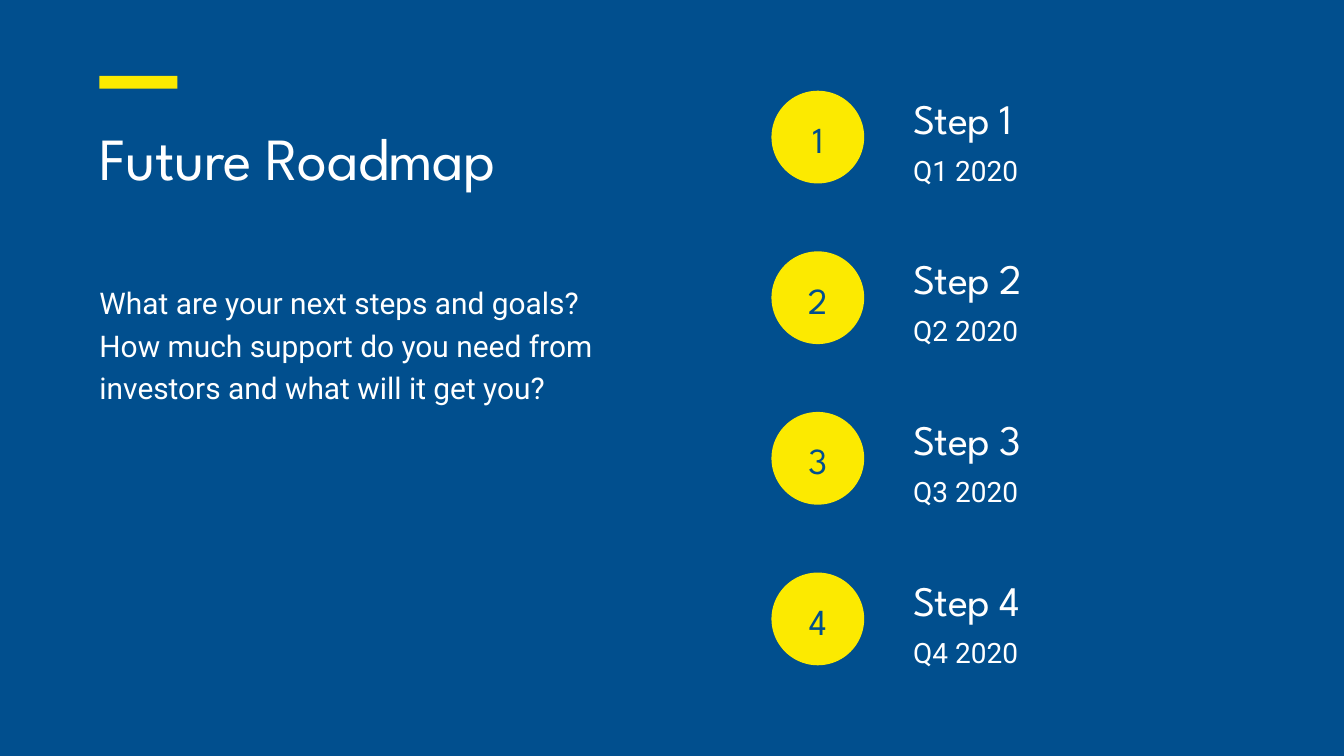
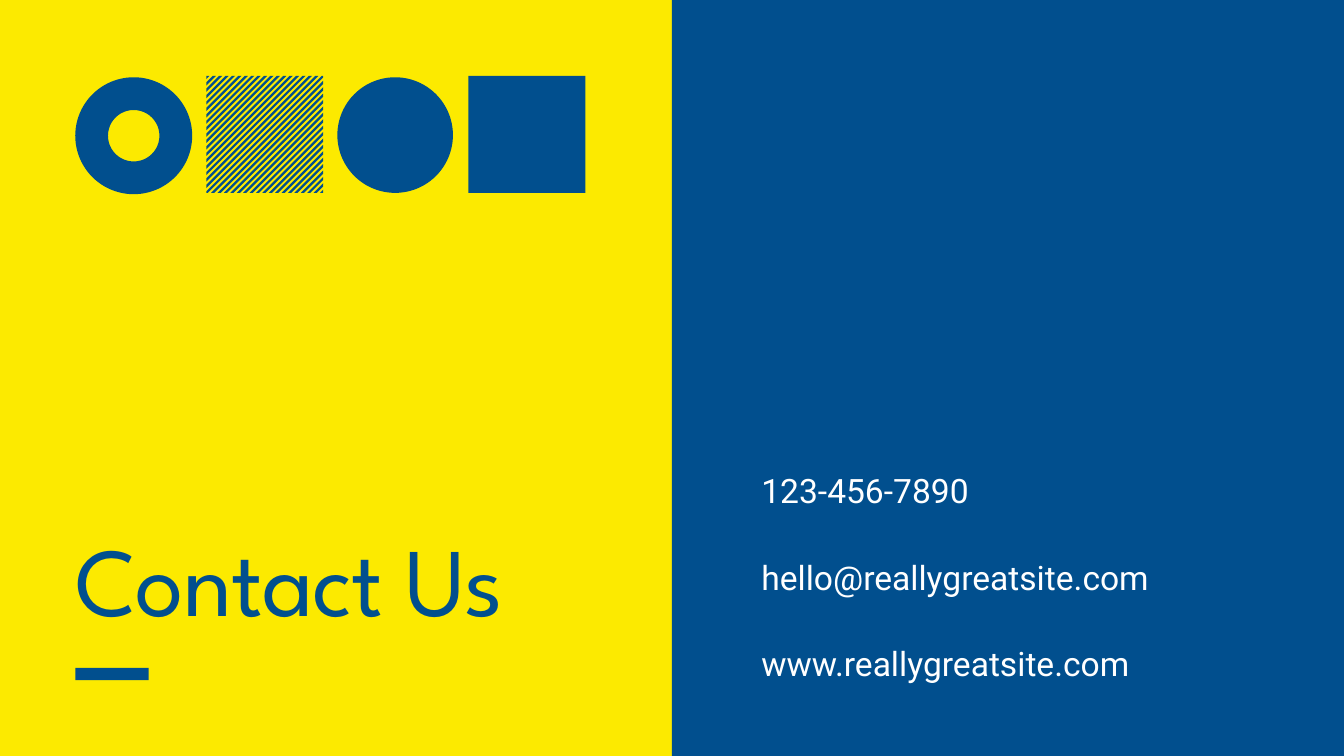
from dataclasses import dataclass

from pptx import Presentation, util as u
from pptx.dml.color import RGBColor
from pptx.enum import shapes, text
from pptx.oxml import parse_xml
from pptx.oxml.ns import nsdecls

ROADMAP_TITLE = "Future Roadmap"
ROADMAP_INTRO = ("What are your next steps and goals? How much support do you need "
                 "from investors and what will it get you?")
STEPS = [
    ("1", "Step 1", "Q1 2020"),
    ("2", "Step 2", "Q2 2020"),
    ("3", "Step 3", "Q3 2020"),
    ("4", "Step 4", "Q4 2020"),
]
CONTACT_TITLE = "Contact Us"
CONTACTS = ["123-456-7890", "hello@reallygreatsite.com", "www.reallygreatsite.com"]


@dataclass(frozen=True)
class Style:
    font: str
    size: float
    leading: float
    tracking: float = 0


class Theme:
    blue = RGBColor.from_string("014F8E")
    yellow = RGBColor.from_string("FCEA00")
    white = RGBColor.from_string("FFFFFF")
    heading, plain = "League Spartan", "Roboto"
    title = Style(heading, 64, 83.2, -0.6)
    closing = Style(heading, 104, 135.2, -1)
    number = Style(heading, 39.3, 51.1, -0.4)
    step = Style(heading, 45, 58.5, -0.5)
    intro = Style(plain, 32, 45.4)
    date = Style(plain, 30, 42.6)
    contact = Style(plain, 36, 51.1)


WIDTH, HEIGHT = 20, 11.25
STEP_TOP, STEP_PITCH, BADGE = 1.35, 2.39, 1.38
TILE_LEFT, TILE_TOP, TILE, TILE_PITCH = 1.12, 1.13, 1.74, 1.95
STRIPES = 37


def place(shape, left, top, width, height):
    shape.left, shape.top = u.Inches(left), u.Inches(top)
    shape.width, shape.height = u.Inches(width), u.Inches(height)
    return shape


def write(shape, *lines, style, color=Theme.white, align=text.PP_ALIGN.LEFT,
          anchor=text.MSO_ANCHOR.TOP, gap=0):
    frame = shape.text_frame
    frame.word_wrap = True
    frame.auto_size = text.MSO_AUTO_SIZE.NONE
    frame.vertical_anchor = anchor
    frame.margin_left = frame.margin_right = frame.margin_top = frame.margin_bottom = 0
    for index, line in enumerate(lines):
        paragraph = frame.paragraphs[0] if index == 0 else frame.add_paragraph()
        paragraph.alignment = align
        paragraph.line_spacing = u.Pt(style.leading)
        paragraph.space_before = u.Pt(gap if index else 0)
        paragraph.space_after = u.Pt(0)
        properties = paragraph._p.get_or_add_pPr()
        properties.set("marL", "0")
        properties.set("indent", "0")
        properties.append(parse_xml(f"<a:buNone {nsdecls('a')}/>"))
        run = paragraph.add_run()
        run.text = line
        run.font.name, run.font.size = style.font, u.Pt(style.size)
        run.font.color.rgb = color
        if style.tracking:
            run._r.get_or_add_rPr().set("spc", str(round(style.tracking * 100)))


def paint(shape, color):
    shape.shadow.inherit = False
    shape.fill.solid()
    shape.fill.fore_color.rgb = color
    shape.line.fill.background()
    return shape


def add_block(slide, kind, left, top, width, height, color):
    box = map(u.Inches, (left, top, width, height))
    return paint(slide.shapes.add_shape(kind, *box), color)


def add_label(slide, label, left, top, width, height, style):
    box = map(u.Inches, (left, top, width, height))
    write(slide.shapes.add_textbox(*box), label, style=style)


def add_slide(deck, background):
    slide = deck.slides.add_slide(deck.slide_layouts[1])
    slide.background.fill.solid()
    slide.background.fill.fore_color.rgb = background
    return slide, slide.shapes.title, slide.placeholders[1]


def stripe_outline(start, end, side):
    near, far = min(start, side), max(0, start - side)
    near_end, far_end = min(end, side), max(0, end - side)
    crosses = start < side < end
    upper = [(near, far)] + [(side, 0)] * crosses + [(near_end, far_end)]
    lower = [(y, x) for x, y in reversed(upper)]
    return upper + lower


def add_hatching(slide, left, top, side, color):
    period = 2 * side / (STRIPES - 0.5)
    builder = slide.shapes.build_freeform(u.Inches(left), u.Inches(top))
    for index in range(STRIPES):
        start = index * period
        outline = stripe_outline(start, min(start + period / 2, 2 * side), side)
        points = [(u.Inches(left + x), u.Inches(top + y)) for x, y in outline]
        builder.move_to(*points[0])
        builder.add_line_segments(points[1:], close=True)
    paint(builder.convert_to_shape(), color)


def build_roadmap(deck):
    slide, title, intro = add_slide(deck, Theme.blue)
    write(place(title, 1.48, 1.71, 7.43, 2.26), ROADMAP_TITLE, style=Theme.title)
    write(place(intro, 1.48, 4.14, 7.43, 1.85), ROADMAP_INTRO, style=Theme.intro)
    add_block(slide, shapes.MSO_SHAPE.RECTANGLE, 1.48, 1.13, 1.16, 0.19, Theme.yellow)
    for index, (number, name, quarter) in enumerate(STEPS):
        top = STEP_TOP + index * STEP_PITCH
        badge = add_block(slide, shapes.MSO_SHAPE.OVAL, 11.48, top, BADGE, BADGE, Theme.yellow)
        write(badge, number, style=Theme.number, color=Theme.blue,
              align=text.PP_ALIGN.CENTER, anchor=text.MSO_ANCHOR.MIDDLE)
        add_label(slide, name, 13.59, top - 0.04, 4.64, 0.78, Theme.step)
        add_label(slide, quarter, 13.59, top + 0.84, 4.64, 0.55, Theme.date)


def build_contact(deck):
    slide, title, details = add_slide(deck, Theme.yellow)
    panel = add_block(slide, shapes.MSO_SHAPE.RECTANGLE, WIDTH / 2, 0, WIDTH / 2, HEIGHT,
                      Theme.blue)
    panel.element.getparent().insert(2, panel.element)
    write(place(title, 1.12, 7.59, 8.12, 1.81), CONTACT_TITLE, style=Theme.closing,
          color=Theme.blue)
    write(place(details, 11.33, 6.88, 7.54, 3.25), *CONTACTS, style=Theme.contact, gap=41.8)
    add_block(slide, shapes.MSO_SHAPE.RECTANGLE, 1.12, 9.94, 1.09, 0.18, Theme.blue)

    ring_left, hatch_left, disc_left, square_left = (
        TILE_LEFT + index * TILE_PITCH for index in range(4))
    ring = add_block(slide, shapes.MSO_SHAPE.DONUT, ring_left, TILE_TOP + 0.02, TILE, TILE,
                     Theme.blue)
    ring.adjustments[0] = 0.28
    add_hatching(slide, hatch_left, TILE_TOP, TILE, Theme.blue)
    add_block(slide, shapes.MSO_SHAPE.OVAL, disc_left, TILE_TOP + 0.02, 1.72, 1.72, Theme.blue)
    add_block(slide, shapes.MSO_SHAPE.RECTANGLE, square_left, TILE_TOP, TILE, TILE, Theme.blue)


def main():
    deck = Presentation()
    deck.slide_width, deck.slide_height = u.Inches(WIDTH), u.Inches(HEIGHT)
    build_roadmap(deck)
    build_contact(deck)
    deck.save("out.pptx")


if __name__ == "__main__":
    main()
